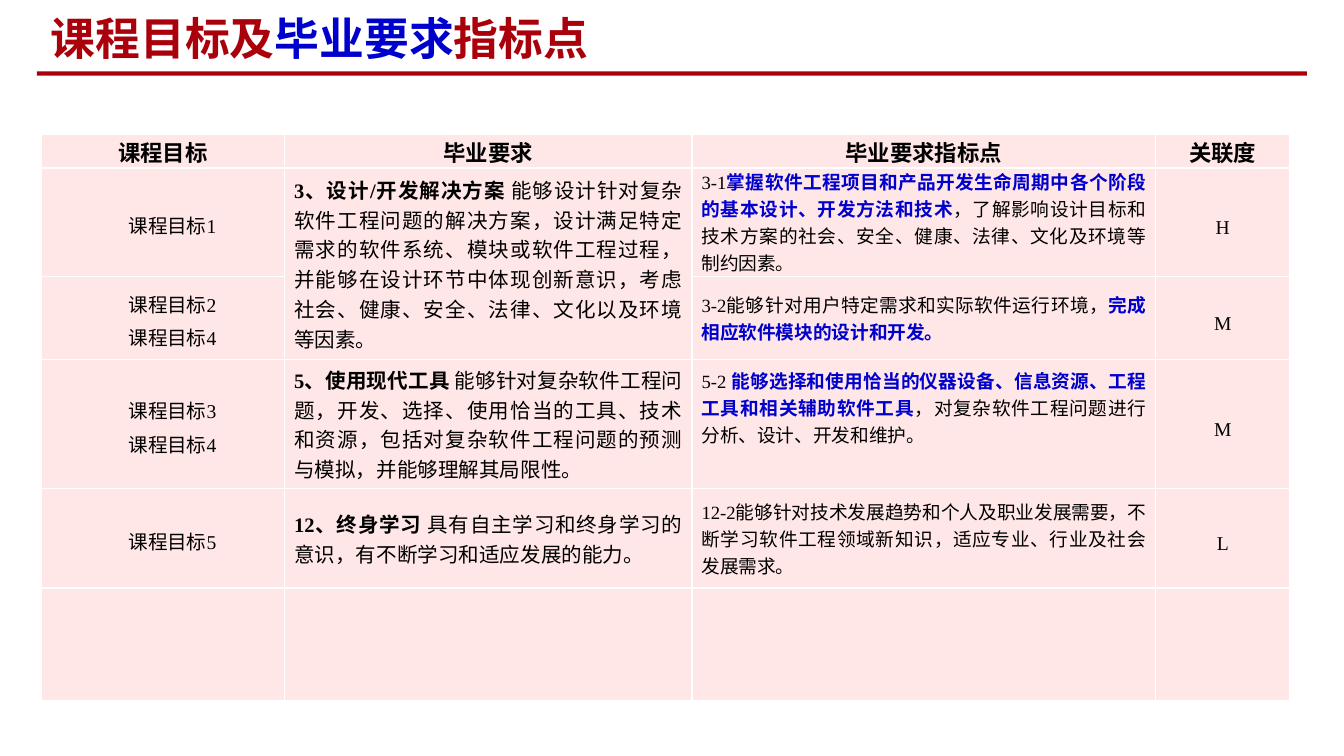
from dataclasses import dataclass

from lxml.etree import SubElement
from pptx import Presentation
from pptx.dml.color import RGBColor
from pptx.enum.shapes import MSO_SHAPE
from pptx.enum.text import MSO_ANCHOR, PP_ALIGN
from pptx.oxml.ns import qn
from pptx.util import Cm, Pt


@dataclass(frozen=True)
class Theme:
    red: RGBColor = RGBColor(0xAA, 0x00, 0x0B)
    blue: RGBColor = RGBColor(0x00, 0x00, 0xCC)
    black: RGBColor = RGBColor(0x00, 0x00, 0x00)
    cell: RGBColor = RGBColor(0xFF, 0xE7, 0xE8)
    border: str = "FFFFFF"
    title_font: str = "Noto Sans CJK SC"
    header_font: str = "Calibri"
    body_font: str = "Times New Roman"
    title_size: Pt = Pt(24)
    header_size: Pt = Pt(12)
    requirement_size: Pt = Pt(11)
    label_size: Pt = Pt(10.5)
    indicator_size: Pt = Pt(10)
    line_height: Pt = Pt(18)


THEME = Theme()
COLUMN_WIDTHS = (4.6, 7.7, 8.76, 2.54)
ROW_HEIGHTS = (0.63, 2.05, 1.57, 2.44, 1.88, 2.13)
HEADERS = ("课程目标", "毕业要求", "毕业要求指标点", "关联度")
GOALS = (("课程目标1",), ("课程目标2", "课程目标4"), ("课程目标3", "课程目标4"), ("课程目标5",))
LEVELS = ("H", "M", "M", "L")
REQUIREMENTS = {
    1: ("3、设计/开发解决方案 ",
        "能够设计针对复杂软件工程问题的解决方案，设计满足特定需求的软件系统、模块或软件工程过程，"
        "并能够在设计环节中体现创新意识，考虑社会、健康、安全、法律、文化以及环境等因素。"),
    3: ("5、使用现代工具 ",
        "能够针对复杂软件工程问题，开发、选择、使用恰当的工具、技术和资源，"
        "包括对复杂软件工程问题的预测与模拟，并能够理解其局限性。"),
    4: ("12、终身学习 ", "具有自主学习和终身学习的意识，有不断学习和适应发展的能力。"),
}
INDICATORS = (
    ("3-1", "掌握软件工程项目和产品开发生命周期中各个阶段的基本设计、开发方法和技术",
     "，了解影响设计目标和技术方案的社会、安全、健康、法律、文化及环境等制约因素。"),
    ("3-2能够针对用户特定需求和实际软件运行环境，", "完成相应软件模块的设计和开发。"),
    ("5-2 ", "能够选择和使用恰当的仪器设备、信息资源、工程工具和相关辅助软件工具",
     "，对复杂软件工程问题进行分析、设计、开发和维护。"),
    ("12-2能够针对技术发展趋势和个人及职业发展需要，不断学习软件工程领域新知识，"
     "适应专业、行业及社会发展需求。",),
)


def style_paragraph(para, font_name, size, align, bold=None, color=None):
    para.alignment = align
    para.font.name = font_name
    para.font.size = size
    if bold is not None:
        para.font.bold = bold
    if color is not None:
        para.font.color.rgb = color


def add_span(para, text, bold=None, color=None):
    span = para.add_run()
    span.text = text
    if bold is not None:
        span.font.bold = bold
    if color is not None:
        span.font.color.rgb = color


def add_title(slide):
    box = slide.shapes.add_textbox(Cm(0.71), Cm(0.15), Cm(13.46), Cm(1.14))
    frame = box.text_frame
    frame.word_wrap = True
    frame.vertical_anchor = MSO_ANCHOR.MIDDLE
    para = frame.paragraphs[0]
    style_paragraph(para, THEME.title_font, THEME.title_size, PP_ALIGN.LEFT, bold=True)
    for text, color in (("课程目标及", THEME.red), ("毕业要求", THEME.blue), ("指标点", THEME.red)):
        add_span(para, text, color=color)


def add_rule(slide):
    rule = slide.shapes.add_shape(MSO_SHAPE.RECTANGLE, Cm(0.7), Cm(1.35), Cm(24), Cm(0.08))
    rule.shadow.inherit = False
    rule.fill.solid()
    rule.fill.fore_color.rgb = THEME.red
    rule.line.fill.background()


def style_cell(cell, side_margin):
    cell.vertical_anchor = MSO_ANCHOR.MIDDLE
    cell.margin_left = cell.margin_right = Cm(side_margin)
    cell.margin_top = cell.margin_bottom = 0
    properties = cell._tc.get_or_add_tcPr()
    for side in ("a:lnL", "a:lnR", "a:lnT", "a:lnB"):
        line = SubElement(properties, qn(side), w=str(Pt(1)))
        fill = SubElement(line, qn("a:solidFill"))
        SubElement(fill, qn("a:srgbClr"), val=THEME.border)
    cell.fill.solid()
    cell.fill.fore_color.rgb = THEME.cell


def write_centred(cell, lines, font_name, size, bold=False, first_indent=0):
    frame = cell.text_frame
    for index, text in enumerate(lines):
        para = frame.add_paragraph() if index else frame.paragraphs[0]
        style_paragraph(para, font_name, size, PP_ALIGN.CENTER, bold, THEME.black)
        para.line_spacing = THEME.line_height
        if first_indent:
            para._p.get_or_add_pPr().set("indent", str(Cm(first_indent)))
        add_span(para, text)


def write_requirement(cell, heading, description):
    para = cell.text_frame.paragraphs[0]
    style_paragraph(para, THEME.body_font, THEME.requirement_size, PP_ALIGN.JUSTIFY,
                    color=THEME.black)
    add_span(para, heading, bold=True)
    add_span(para, description, bold=False)


def write_indicator(cell, parts):
    para = cell.text_frame.paragraphs[0]
    style_paragraph(para, THEME.body_font, THEME.indicator_size, PP_ALIGN.JUSTIFY)
    for index, text in enumerate(parts):
        key = index == 1
        add_span(para, text, bold=key, color=THEME.blue if key else THEME.black)


def add_goal_table(slide):
    frame = slide.shapes.add_table(len(ROW_HEIGHTS), len(COLUMN_WIDTHS), Cm(0.78), Cm(2.54),
                                   Cm(sum(COLUMN_WIDTHS)), Cm(sum(ROW_HEIGHTS)))
    table = frame.table
    table.first_row = table.horz_banding = False
    for column, width in zip(table.columns, COLUMN_WIDTHS):
        column.width = Cm(width)
    for index, (row, height) in enumerate(zip(table.rows, ROW_HEIGHTS)):
        row.height = Cm(height)
        for cell in row.cells:
            style_cell(cell, 0.18 if index else 0.1)
    table.cell(1, 1).merge(table.cell(2, 1))

    for column, header in enumerate(HEADERS):
        write_centred(table.cell(0, column), [header], THEME.header_font, THEME.header_size,
                      bold=True)
    for row, (goals, parts, level) in enumerate(zip(GOALS, INDICATORS, LEVELS), start=1):
        write_centred(table.cell(row, 0), goals, THEME.body_font, THEME.label_size,
                      first_indent=0.36)
        write_indicator(table.cell(row, 2), parts)
        write_centred(table.cell(row, 3), [level], THEME.body_font, THEME.label_size)
    for row, (heading, description) in REQUIREMENTS.items():
        write_requirement(table.cell(row, 1), heading, description)
    table.cell(3, 2).margin_bottom = THEME.line_height


def main():
    deck = Presentation()
    deck.slide_width = Cm(25.4)
    deck.slide_height = Cm(14.29)
    page = deck.slides.add_slide(deck.slide_layouts[6])
    add_rule(page)
    add_title(page)
    add_goal_table(page)
    deck.save("out.pptx")


if __name__ == "__main__":
    main()
